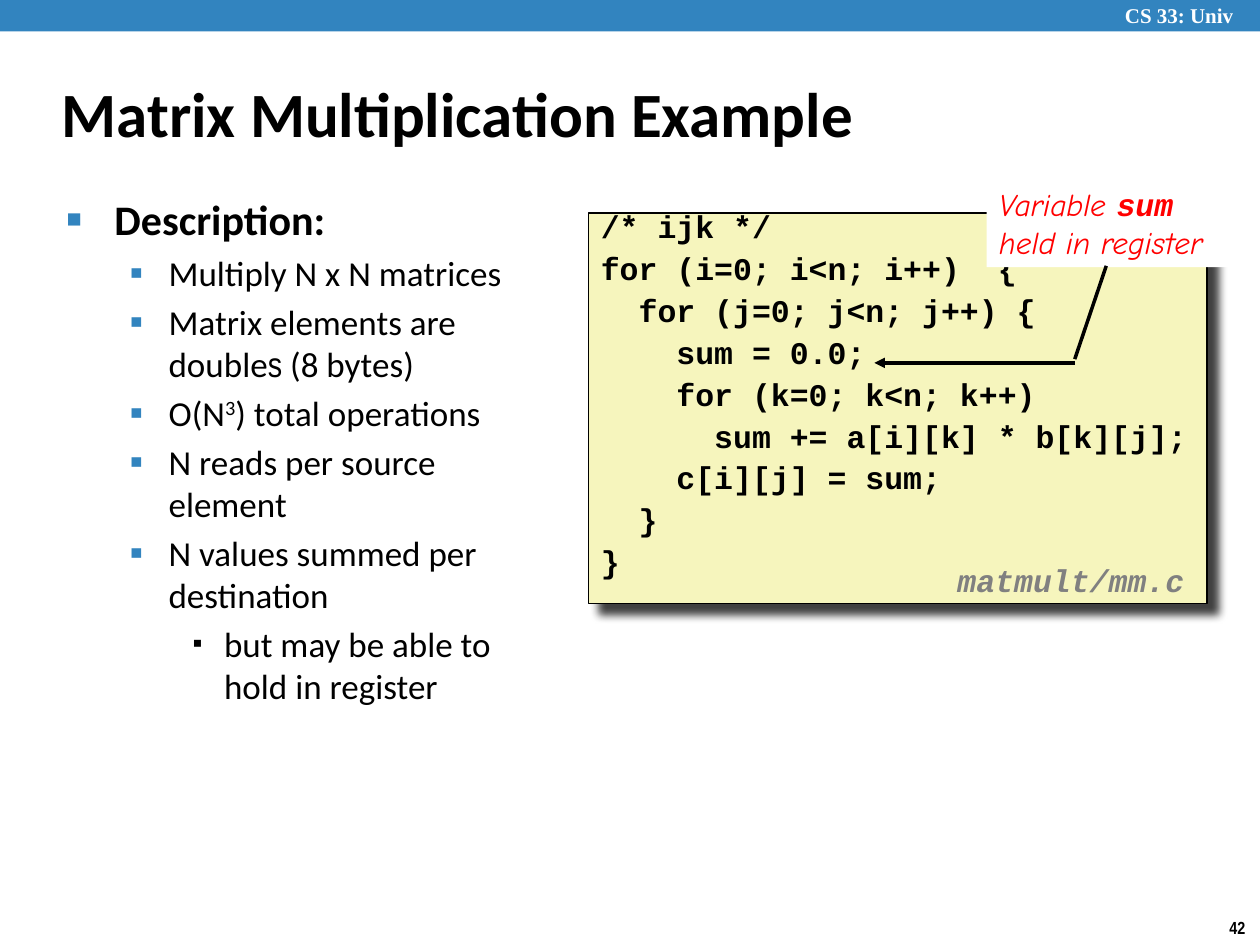
from lxml import etree
from pptx import Presentation
from pptx.dml.color import RGBColor
from pptx.enum.shapes import MSO_CONNECTOR, MSO_SHAPE
from pptx.enum.text import MSO_ANCHOR, MSO_AUTO_SIZE, PP_ALIGN
from pptx.oxml import parse_xml
from pptx.oxml.ns import nsdecls, qn
from pptx.util import Inches, Pt

BLUE, BLACK, WHITE, RED = "3284BF", "000000", "FFFFFF", "FF0000"


def color(hex_text):
    return RGBColor.from_string(hex_text)


def add_run(paragraph, text, font, size, hex_text=BLACK, bold=False, italic=False):
    run = paragraph.add_run()
    run.text = text
    run.font.name = font
    run.font.size = Pt(size)
    run.font.bold = bold
    run.font.italic = italic
    run.font.color.rgb = color(hex_text)
    return run


presentation = Presentation()
presentation.slide_width, presentation.slide_height = Inches(10), Inches(7.5)
slide = presentation.slides.add_slide(presentation.slide_layouts[5])
shapes = slide.shapes

# Title
title = shapes.title
title.left, title.top = Inches(0.39), Inches(0.48)
title.width, title.height = Inches(8.3), Inches(0.83)
title.text_frame.auto_size = MSO_AUTO_SIZE.NONE
title.text_frame.vertical_anchor = MSO_ANCHOR.MIDDLE
paragraph = title.text_frame.paragraphs[0]
paragraph.alignment = PP_ALIGN.LEFT
add_run(paragraph, "Matrix Multiplication Example", "Calibri", 36, bold=True)

# Header bar
header = shapes.add_shape(MSO_SHAPE.RECTANGLE, 0, 0, Inches(10), Inches(0.25))
header.shadow.inherit = False
header.fill.solid()
header.fill.fore_color.rgb = color(BLUE)
header.line.fill.background()

# Description: level, then runs of (text, font, superscript)
description = [
    (0, [("Description:", "Calibri", False)]),
    (1, [("Multiply N x N matrices", "Calibri", False)]),
    (1, [("Matrix elements are double", "Calibri", False),
         ("s", "Arial Narrow", False), (" (8 bytes)", "Calibri", False)]),
    (1, [("O(N", "Calibri", False), ("3", "Calibri", True),
         (") total operations", "Calibri", False)]),
    (1, [("N reads per source element", "Calibri", False)]),
    (1, [("N values summed per destination", "Calibri", False)]),
    (2, [("but may be able to hold in register", "Calibri", False)]),
]
# By level: left margin, hanging indent, bullet, bullet colour, bullet percent, text size
levels = [
    (0.38, 0.38, "■", BLUE, 60, 24),
    (0.81, 0.31, "▪", BLUE, 110, 20),
    (1.25, 0.25, "▪", BLACK, 80, 20),
]
body = shapes.add_textbox(Inches(0.43), Inches(1.49), Inches(3.98), Inches(5.44))
body.text_frame.word_wrap = True
for index, (level, runs) in enumerate(description):
    margin, hanging, bullet, bullet_color, percent, size = levels[level]
    paragraph = body.text_frame.paragraphs[0] if index == 0 else body.text_frame.add_paragraph()
    paragraph.level = level
    paragraph.space_before = Pt(size * 0.2)
    properties = paragraph._p.get_or_add_pPr()
    properties.set("marL", str(Inches(margin)))
    properties.set("indent", str(-Inches(hanging)))
    bullet_rgb = etree.SubElement(properties, qn("a:buClr"))
    etree.SubElement(bullet_rgb, qn("a:srgbClr"), val=bullet_color)
    etree.SubElement(properties, qn("a:buSzPct"), val=str(percent * 1000))
    etree.SubElement(properties, qn("a:buFont"), typeface="Arial")
    etree.SubElement(properties, qn("a:buChar"), char=bullet)
    for text, font, superscript in runs:
        run = add_run(paragraph, text, font, size, bold=level == 0)
        if superscript:
            run._r.get_or_add_rPr().set("baseline", "30000")

# Code panel
code_lines = [
    "/* ijk */",
    "for (i=0; i<n; i++)  {",
    "  for (j=0; j<n; j++) {",
    "    sum = 0.0;",
    "    for (k=0; k<n; k++)",
    "      sum += a[i][k] * b[k][j];",
    "    c[i][j] = sum;",
    "  }",
    "}",
]
panel = shapes.add_shape(MSO_SHAPE.RECTANGLE, Inches(4.67), Inches(1.69), Inches(4.91), Inches(3.1))
panel.fill.solid()
panel.fill.fore_color.rgb = color("F6F5BD")
panel.line.color.rgb = color(BLACK)
panel.line.width = Pt(1)
panel._element.spPr.append(parse_xml(
    f'<a:effectLst {nsdecls("a")}><a:outerShdw blurRad="{Pt(5)}" dist="{Pt(8.5)}" dir="2700000" '
    f'algn="tl" rotWithShape="0"><a:srgbClr val="{BLACK}"><a:alpha val="75000"/></a:srgbClr>'
    '</a:outerShdw></a:effectLst>'))
panel.text_frame.word_wrap = True
panel.text_frame.vertical_anchor = MSO_ANCHOR.TOP
for index, code_line in enumerate(code_lines):
    paragraph = panel.text_frame.paragraphs[0] if index == 0 else panel.text_frame.add_paragraph()
    paragraph.alignment = PP_ALIGN.LEFT
    paragraph.line_spacing = 0.65
    paragraph.space_before = Pt(9.9)
    add_run(paragraph, code_line, "Courier New", 18, bold=True)

# Callout on the register variable
callout = shapes.add_textbox(Inches(7.83), Inches(1.42), Inches(2.05), Inches(0.7))
callout.fill.solid()
callout.fill.fore_color.rgb = color(WHITE)
callout.text_frame.word_wrap = True
paragraph = callout.text_frame.paragraphs[0]
add_run(paragraph, "Variable ", "Comic Neue", 18, RED, italic=True)
add_run(paragraph, "sum", "Courier New", 18, RED, bold=True, italic=True)
paragraph = callout.text_frame.add_paragraph()
add_run(paragraph, "held in register", "Comic Neue", 18, RED, italic=True)

# Bent pointer from the callout to the code, arrowhead on the last part
for start_x, start_y, end_x, end_y, arrowhead in [
    (8.78, 2.11, 8.53, 2.85, False),
    (8.53, 2.88, 6.94, 2.88, True),
]:
    pointer = shapes.add_connector(MSO_CONNECTOR.STRAIGHT, Inches(start_x), Inches(start_y),
                                   Inches(end_x), Inches(end_y))
    pointer.line.color.rgb = color(BLACK)
    pointer.line.width = Pt(2)
    if arrowhead:
        etree.SubElement(pointer.line._get_or_add_ln(), qn("a:tailEnd"), type="triangle")
    etree.SubElement(pointer._element.spPr, qn("a:effectLst"))

# Single-line labels: course, page number, source file
for text, left, top, width, height, font, size, hex_text, italic in [
    ("CS 33: Univ", 8.83, -0.03, 1.24, 0.3, "Times New Roman", 12, WHITE, False),
    ("42", 9.66, 7.23, 0.34, 0.27, "Arial Narrow", 10, BLACK, False),
    ("matmult/mm.c", 7.5, 4.4, 2.08, 0.39, "Courier New", 18, "808080", True),
]:
    label = shapes.add_textbox(Inches(left), Inches(top), Inches(width), Inches(height))
    label.text_frame.word_wrap = True
    add_run(label.text_frame.paragraphs[0], text, font, size, hex_text, bold=True, italic=italic)

presentation.save("out.pptx")
